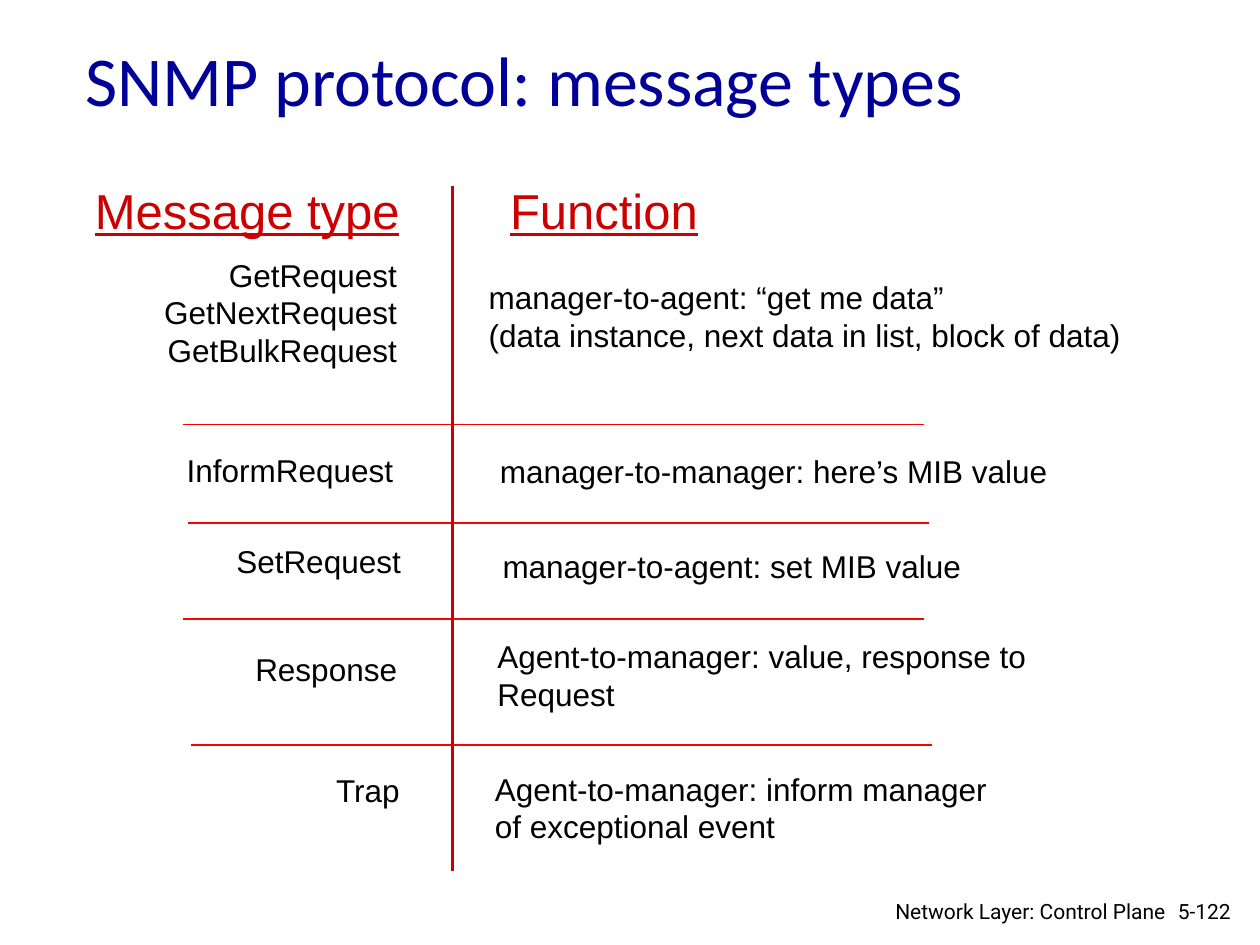
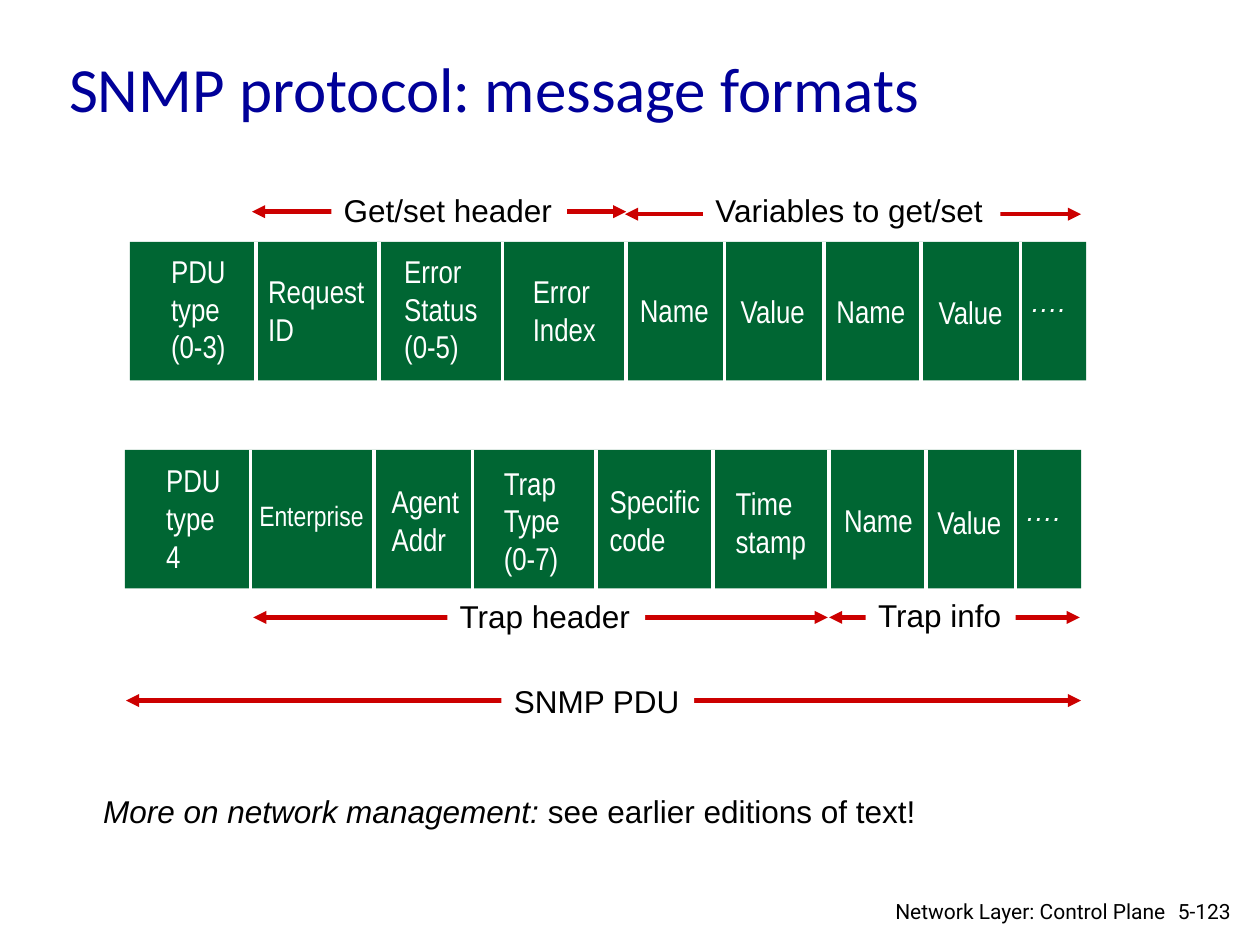
"""Build two slides on SNMP message types and message formats."""
from lxml.etree import SubElement
from pptx import Presentation
from pptx.dml.color import RGBColor
from pptx.enum.shapes import MSO_CONNECTOR, MSO_SHAPE
from pptx.enum.text import MSO_ANCHOR, PP_ALIGN
from pptx.oxml.ns import qn
from pptx.util import Inches, Pt

COLORS = {"title": "000099", "ink": "000000", "paper": "FFFFFF",
          "red": "CC0000", "rule": "FF0000", "green": "006633"}
FOOTER = "Network Layer: Control Plane"

# Words, left, top, width
HEADS = [("Message type", 0.62, 1.38, 2.65, "right"),
         ("Function", 3.95, 1.38, 1.71, "left")]
TYPES = [
    ("GetRequest\nGetNextRequest\nGetBulkRequest", 0.55, 1.98, 2.7),
    ("InformRequest", 0.4, 3.53, 2.82),
    ("SetRequest", 0.46, 4.25, 2.82),
    ("Response", 0.43, 5.11, 2.82),
    ("Trap", 0.45, 6.07, 2.82),
]
ROLES = [
    ("manager-to-agent: “get me data”\n"
     "(data instance, next data in list, block of data)", 3.78, 2.16, 5.27),
    ("manager-to-manager: here’s MIB value", 3.87, 3.54, 4.93),
    ("manager-to-agent: set MIB value", 3.89, 4.29, 4.67),
    ("Agent-to-manager: value, response to\nRequest", 3.85, 5.01, 4.63),
    ("Agent-to-manager: inform manager\nof exceptional event",
     3.83, 6.06, 5.24),
]
RULES = [(1.45, 3.37), (1.49, 4.15), (1.45, 4.91), (1.52, 5.91)]

BANDS = [
    {"left": 1.03, "top": 1.92,
     "cuts": [2.03, 3.01, 3.99, 4.97, 5.75, 6.54, 7.31, 8.1],
     "dots": (8.08, 2.31),
     "cells": [("PDU\ntype\n(0-3)", 1.26, 1.95, 0.64),
               ("Request\nID", 2.03, 2.11, 0.97),
               ("Error\nStatus\n(0-5)", 3.11, 1.95, 0.79),
               ("Error\nIndex", 4.13, 2.11, 0.71),
               ("Name", 4.98, 2.26, 0.76),
               ("Value", 5.78, 2.27, 0.72),
               ("Name", 6.54, 2.27, 0.75),
               ("Value", 7.35, 2.28, 0.72)]},
    {"left": 0.99, "top": 3.57,
     "cuts": [1.99, 2.97, 3.75, 4.73, 5.66, 6.58, 7.35, 8.06],
     "dots": (8.04, 3.97),
     "cells": [("PDU\ntype\n4", 1.22, 3.61, 0.64),
               ("Enterprise", 1.96, 3.91, 1.04),
               ("Agent\nAddr", 3.01, 3.78, 0.74),
               ("Trap\nType\n(0-7)", 3.9, 3.63, 0.65),
               ("Specific\ncode", 4.74, 3.78, 0.93),
               ("Time\nstamp", 5.74, 3.79, 0.77),
               ("Name", 6.6, 3.93, 0.75),
               ("Value", 7.34, 3.94, 0.72)]},
]

# Arrow start, end and height, then its label
SPANS = [
    (2.01, 6.57, 4.9, ("Trap header", 3.55, 4.69, 1.57)),
    (6.58, 8.57, 4.9, ("Trap info", 6.87, 4.68, 1.19)),
    (2, 4.97, 1.68, ("Get/set header", 2.63, 1.47, 1.87)),
    (4.96, 8.58, 1.7, ("Variables to get/set", 5.58, 1.47, 2.36)),
    (1, 8.58, 5.56, ("SNMP PDU", 3.98, 5.36, 1.53)),
]
NOTE = ("More on network management: ", "see earlier editions of text!")


def paint(name):
    return RGBColor.from_string(COLORS[name])


def text(slide, words, left, top, width, height=None, size=18, font="Arial",
         color="ink", align="left", anchor="top", wrap=False, fill=None,
         lead="", italic=False, under=False, pitch=None):
    lines = words.split("\n")
    if height is None:
        height = 0.1 + len(lines) * size * 0.017
    place = [Inches(v) for v in (left, top, width, height)]
    if fill:
        shape = slide.shapes.add_shape(MSO_SHAPE.RECTANGLE, *place)
        shape.shadow.inherit = False
        shape.fill.solid()
        shape.fill.fore_color.rgb = paint(fill)
        shape.line.fill.background()
    else:
        shape = slide.shapes.add_textbox(*place)
    frame = shape.text_frame
    frame.word_wrap = wrap
    frame.vertical_anchor = MSO_ANCHOR[anchor.upper()]
    for i, line in enumerate(lines):
        para = frame.add_paragraph() if i else frame.paragraphs[0]
        para.alignment = PP_ALIGN[align.upper()]
        if pitch:
            para.line_spacing = Pt(pitch)
        parts = [(lead, True)] if lead and not i else []
        for part, slant in parts + [(line, italic)]:
            run = para.add_run()
            run.text = part
            run.font.name = font
            run.font.size = Pt(size)
            run.font.italic = slant
            run.font.underline = under
            run.font.color.rgb = paint(color)


def line(slide, x1, y1, x2, y2, color, weight, heads=False):
    ends = [Inches(v) for v in (x1, y1, x2, y2)]
    link = slide.shapes.add_connector(MSO_CONNECTOR.STRAIGHT, *ends)
    link.line.color.rgb = paint(color)
    link.line.width = Pt(weight)
    if heads:
        for tag in ("a:headEnd", "a:tailEnd"):
            SubElement(link.line._get_or_add_ln(), qn(tag), type="triangle")
    SubElement(link._element.spPr, qn("a:effectLst"))


def start(deck, title, number, left, top, height, size):
    slide = deck.slides.add_slide(deck.slide_layouts[6])
    text(slide, title, left, top, 8.5, height, size=size, font="Calibri",
         color="title", anchor="middle", wrap=True)
    text(slide, number, 9.25, 7.08, 0.66, 0.3, size=12, font="Roboto")
    text(slide, FOOTER, 6.97, 7.08, 2.38, 0.26, size=12, font="Roboto",
         align="right", wrap=True)
    return slide


def types(deck):
    slide = start(deck, "SNMP protocol: message types", "5-122",
                  0.58, 0, 1.25, 40)
    for *head, align in HEADS:
        text(slide, *head, size=28, color="red", align=align, under=True)
    for kind, role in zip(TYPES, ROLES):
        text(slide, *kind, align="right")
        text(slide, *role)
    for left, top in RULES:
        line(slide, left, top, left + 5.88, top, "rule", 1)
    line(slide, 3.59, 1.48, 3.59, 6.91, "red", 2)


def band(slide, left, top, cuts, dots, cells):
    text(slide, "", left, top, 7.59, 1.1, fill="green")
    for cut in cuts:
        line(slide, cut, top, cut, top + 1.11, "paper", 2)
    for cell in cells:
        size = 16 if cell[0] == "Enterprise" else 18
        text(slide, *cell, size=size, font="Arial Narrow", color="paper")
    text(slide, "….", *dots, 0.54, 0.29, size=16, color="paper",
         italic=True, pitch=12)


def formats(deck):
    slide = start(deck, "SNMP protocol: message formats", "5-123",
                  0.45, 0.24, 0.91, 36)
    for row in BANDS:
        band(slide, **row)
    for left, right, y, label in SPANS:
        line(slide, left, y, right, y, "red", 2.5, heads=True)
        text(slide, *label, fill="paper")
    lead, rest = NOTE
    text(slide, rest, 0.72, 6.24, 6.71, lead=lead)


def main():
    deck = Presentation()
    deck.slide_width, deck.slide_height = Inches(10), Inches(7.5)
    types(deck)
    formats(deck)
    deck.save("out.pptx")


if __name__ == "__main__":
    main()
